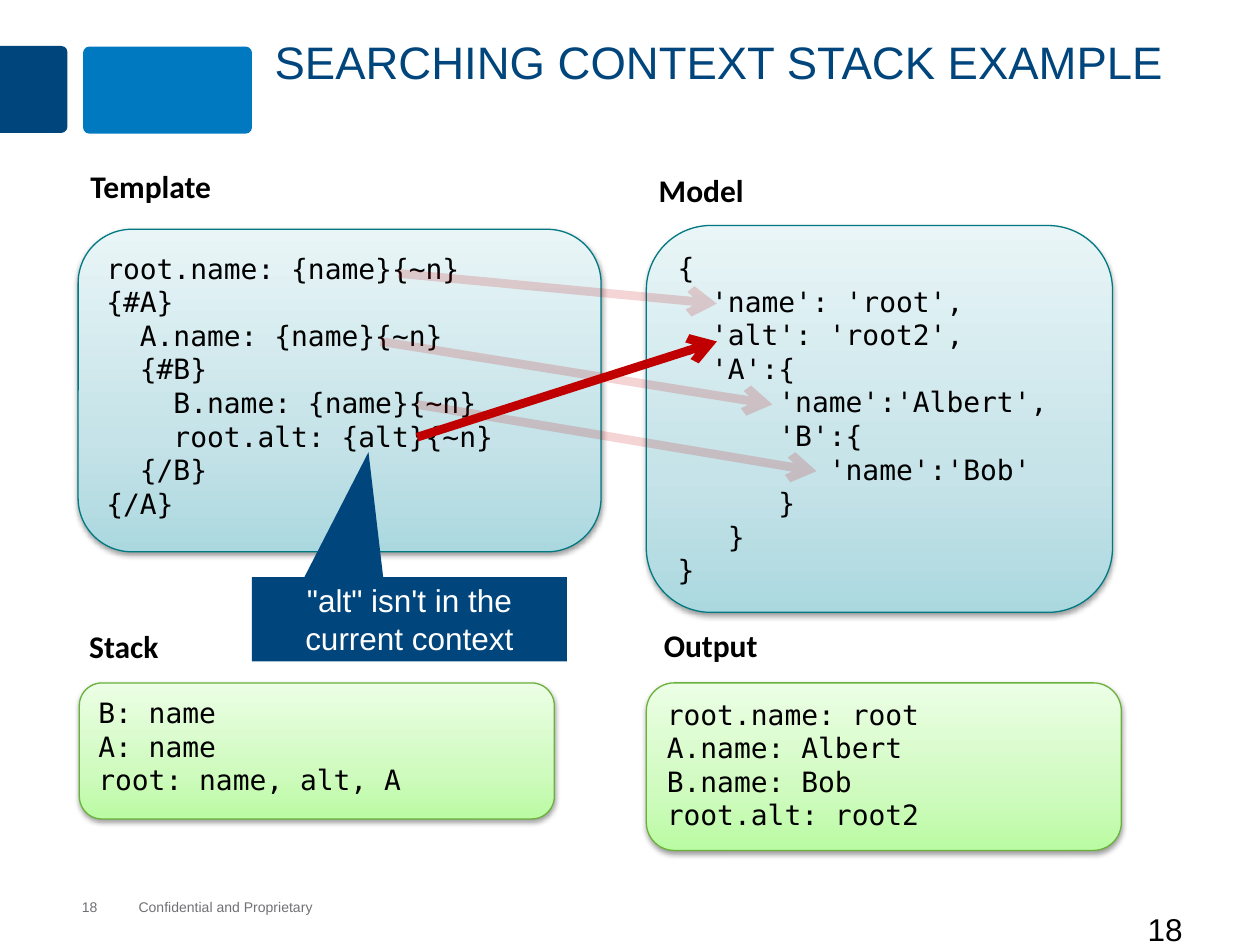
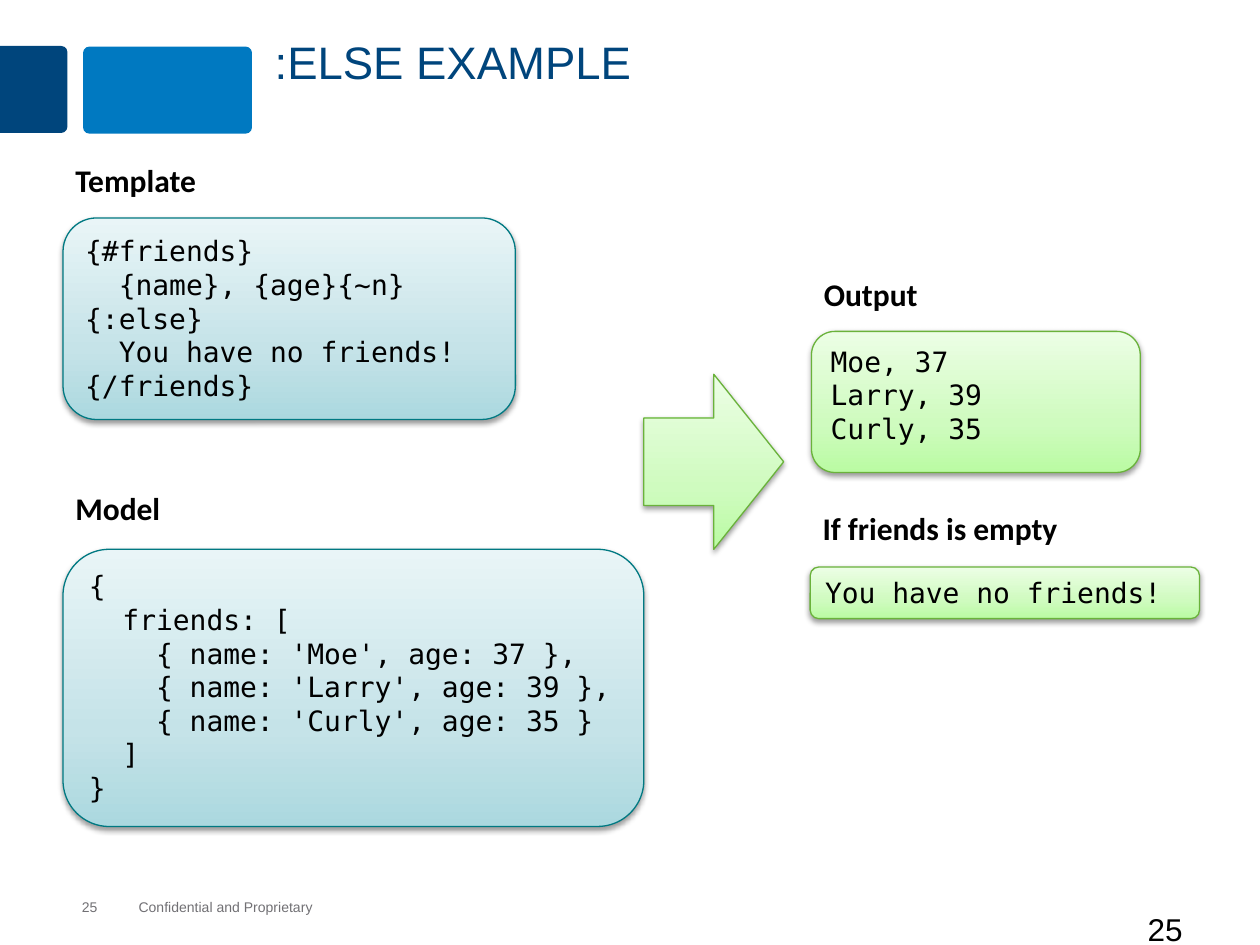
from copy import deepcopy
from dataclasses import dataclass

from lxml import etree
from pptx import Presentation
from pptx import util as u
from pptx.dml.color import RGBColor
from pptx.enum import shapes, text
from pptx.oxml.ns import qn

ROUND = shapes.MSO_SHAPE.ROUNDED_RECTANGLE
TOP, MIDDLE = text.MSO_ANCHOR.TOP, text.MSO_ANCHOR.MIDDLE
LEFT, CENTER = text.PP_ALIGN.LEFT, text.PP_ALIGN.CENTER


@dataclass
class Look:
    """A single fill colour is solid; three run from bottom to top with a shadow."""
    fill: tuple = ()
    line: str = ""
    font: str = "Arial"
    size: int = 18
    color: str = "000000"
    bold: bool = False
    align: int = LEFT
    anchor: int = TOP
    inset: tuple = (0.1, 0.05)


class Theme:
    navy, red = "00457C", "C00000"
    mono = "DejaVu Sans Mono"
    title_size = 26
    dark_band = Look(fill=(navy,))
    light_band = Look(fill=("0079C1",))
    footer = Look(size=8, color="717074", anchor=MIDDLE, inset=(0, 0))
    page = Look()
    label = Look(font="Calibri", bold=True)
    source = Look(("ABD8DF", "C5E3E8", "E9F5F7"), "007982", mono, 16)
    result = Look(("BAFBA3", "CFFBBF", "ECFEE5"), "6AB23B", mono, 16)
    callout = Look((navy,), color="FFFFFF", align=CENTER, anchor=MIDDLE, inset=(0.05, 0.05))


prs = Presentation()
prs.slide_width, prs.slide_height = u.Inches(10), u.Inches(7.5)
COL, ROW = prs.slide_width / 100, prs.slide_height / 75


def cells(x, y, w, h):
    """Turn grid columns and rows into lengths."""
    return int(x * COL), int(y * ROW), int(w * COL), int(h * ROW)


def add_block(s, at, look, words="", kind=None):
    """Add a text box, or a shape of the given kind."""
    if kind is None:
        sp = s.shapes.add_textbox(*cells(*at))
    else:
        sp = s.shapes.add_shape(kind, *cells(*at))
        sp.shadow.inherit = False
        sp.line.fill.background()
    if len(look.fill) == 1:
        sp.fill.solid()
        sp.fill.fore_color.rgb = RGBColor.from_string(look.fill[0])
    elif look.fill:
        sp.fill.gradient()
        sp.fill.gradient_angle = 90
        stops = sp._element.spPr.find(".//" + qn("a:gsLst"))
        stops.insert(1, deepcopy(stops[0]))
        for stop, place, color in zip(sp.fill.gradient_stops, (0, 0.35, 1), look.fill):
            stop.position = place
            stop.color.rgb = RGBColor.from_string(color)
        sp.line.color.rgb = RGBColor.from_string(look.line)
        sp.line.width = u.Pt(0.75)
        shadow = etree.SubElement(
            sp._element.spPr.find(qn("a:effectLst")), qn("a:outerShdw"),
            blurRad="40000", dist="20000", dir="5400000", rotWithShape="0")
        black = etree.SubElement(shadow, qn("a:srgbClr"), val="000000")
        etree.SubElement(black, qn("a:alpha"), val="38000")
    if words:
        tf = sp.text_frame
        tf.word_wrap = True
        tf.vertical_anchor = look.anchor
        tf.margin_left = tf.margin_right = u.Inches(look.inset[0])
        tf.margin_top = tf.margin_bottom = u.Inches(look.inset[1])
        p = tf.paragraphs[0]
        p.text = words.replace("\n", "\v")
        p.alignment = look.align
        p.font.name, p.font.size, p.font.bold = look.font, u.Pt(look.size), look.bold
        p.font.color.rgb = RGBColor.from_string(look.color)
    return sp


STACK_TEMPLATE = """root.name: {name}{~n}
{#A}
  A.name: {name}{~n}
  {#B}
    B.name: {name}{~n}
    root.alt: {alt}{~n}
  {/B}
{/A}"""
STACK_MODEL = """{
  'name': 'root',
  'alt': 'root2',
  'A':{
      'name':'Albert',
      'B':{
         'name':'Bob'
      }
   }
}"""
STACK = """B: name
A: name
root: name, alt, A"""
STACK_OUTPUT = """root.name: root
A.name: Albert
B.name: Bob
root.alt: root2"""
ELSE_TEMPLATE = """{#friends}
  {name}, {age}{~n}
{:else}
  You have no friends!
{/friends}"""
ELSE_MODEL = """{
  friends: [
    { name: 'Moe', age: 37 },
    { name: 'Larry', age: 39 },
    { name: 'Curly', age: 35 }
  ]
}"""
ELSE_OUTPUT = """Moe, 37
Larry, 39
Curly, 35"""

# Panels: label, label corner, box, look, code
PAGES = [
    ("SEARCHING CONTEXT STACK EXAMPLE", "18", [
        ("Template", (6.2, 12.8), (6.2, 18.2, 41.5, 25.6), Theme.source, STACK_TEMPLATE),
        ("Model", (51.3, 13.1), (51.3, 17.9, 37, 30.7), Theme.source, STACK_MODEL),
        ("Stack", (6.1, 49.3), (6.3, 54.2, 37.7, 10.8), Theme.result, STACK),
        ("Output", (51.7, 49.2), (51.3, 54.2, 37.7, 13.3), Theme.result, STACK_OUTPUT),
    ]),
    (":ELSE EXAMPLE", "25", [
        ("Template", (5, 12.3), (5, 17.3, 35.9, 16), Theme.source, ELSE_TEMPLATE),
        ("Model", (5, 38.3), (5, 43.6, 46.1, 22), Theme.source, ELSE_MODEL),
        ("Output", (64.4, 21.3), (64.4, 26.3, 26.1, 11.2), Theme.result, ELSE_OUTPUT),
        ("If friends is empty", (64.3, 39.9), (64.3, 45, 30.9, 4.1), Theme.result,
         "You have no friends!"),
    ]),
]

for title, number, panels in PAGES:
    s = prs.slides.add_slide(prs.slide_layouts[5])
    band = add_block(s, (-0.8, 4.4, 6.9, 5.4), Theme.dark_band,
                     kind=shapes.MSO_SHAPE.ROUND_2_SAME_RECTANGLE)
    band.rotation = 90
    band.adjustments[0] = 0.09
    band = add_block(s, (6.6, 3.7, 13.4, 6.9), Theme.light_band, kind=ROUND)
    band.adjustments[0] = 0.07
    add_block(s, (11, 71.3, 16, 1.3), Theme.footer, "Confidential and Proprietary")
    add_block(s, (6.5, 71.3, 4, 1.3), Theme.footer, number)
    add_block(s, (90.1, 71.7, 9.9, 5), Theme.page, number)

    heading = s.shapes.title
    heading.left, heading.top, heading.width, heading.height = cells(20.8, 2.5, 76.7, 9.1)
    tf = heading.text_frame
    tf.text = title
    tf.vertical_anchor = TOP
    tf.auto_size = text.MSO_AUTO_SIZE.NONE
    p = tf.paragraphs[0]
    p.alignment, p.line_spacing = LEFT, 0.95
    p.font.name, p.font.size = "Arial", u.Pt(Theme.title_size)
    p.font.color.rgb = RGBColor.from_string(Theme.navy)

    for label, corner, box, look, code in panels:
        add_block(s, box, look, code, ROUND)
        add_block(s, (*corner, 30, 5), Theme.label, label)

stack_slide, else_slide = prs.slides

# Lookups from template to model: start, end, opacity in percent
for start, end, opacity in [
    ((31.6, 21.7), (56.9, 24.1), 17),
    ((30.2, 27.1), (61.3, 32.1), 17),
    ((33.1, 32.1), (64.8, 37.4), 17),
    ((33.1, 34.7), (56.9, 27.1), 100),
]:
    lookup = stack_slide.shapes.add_connector(
        shapes.MSO_CONNECTOR.STRAIGHT, *cells(*start, *end))
    lookup.line.width = u.Pt(5)
    lookup.line.color.rgb = RGBColor.from_string(Theme.red)
    props = lookup._element.spPr
    if opacity < 100:
        etree.SubElement(props.find(".//" + qn("a:srgbClr")), qn("a:alpha"),
                         val=str(opacity * 1000))
    etree.SubElement(props.find(qn("a:ln")), qn("a:tailEnd"), type="arrow")
    etree.SubElement(props, qn("a:effectLst"))

callout = add_block(stack_slide, (20, 45.8, 25, 6.7), Theme.callout,
                    '"alt" isn\'t in the current context',
                    shapes.MSO_SHAPE.RECTANGULAR_CALLOUT)
callout.adjustments[0], callout.adjustments[1] = -0.13, -1.98

add_block(else_slide, (51.1, 29.7, 11.1, 13.9), Theme.result,
          kind=shapes.MSO_SHAPE.RIGHT_ARROW)

prs.save("out.pptx")
